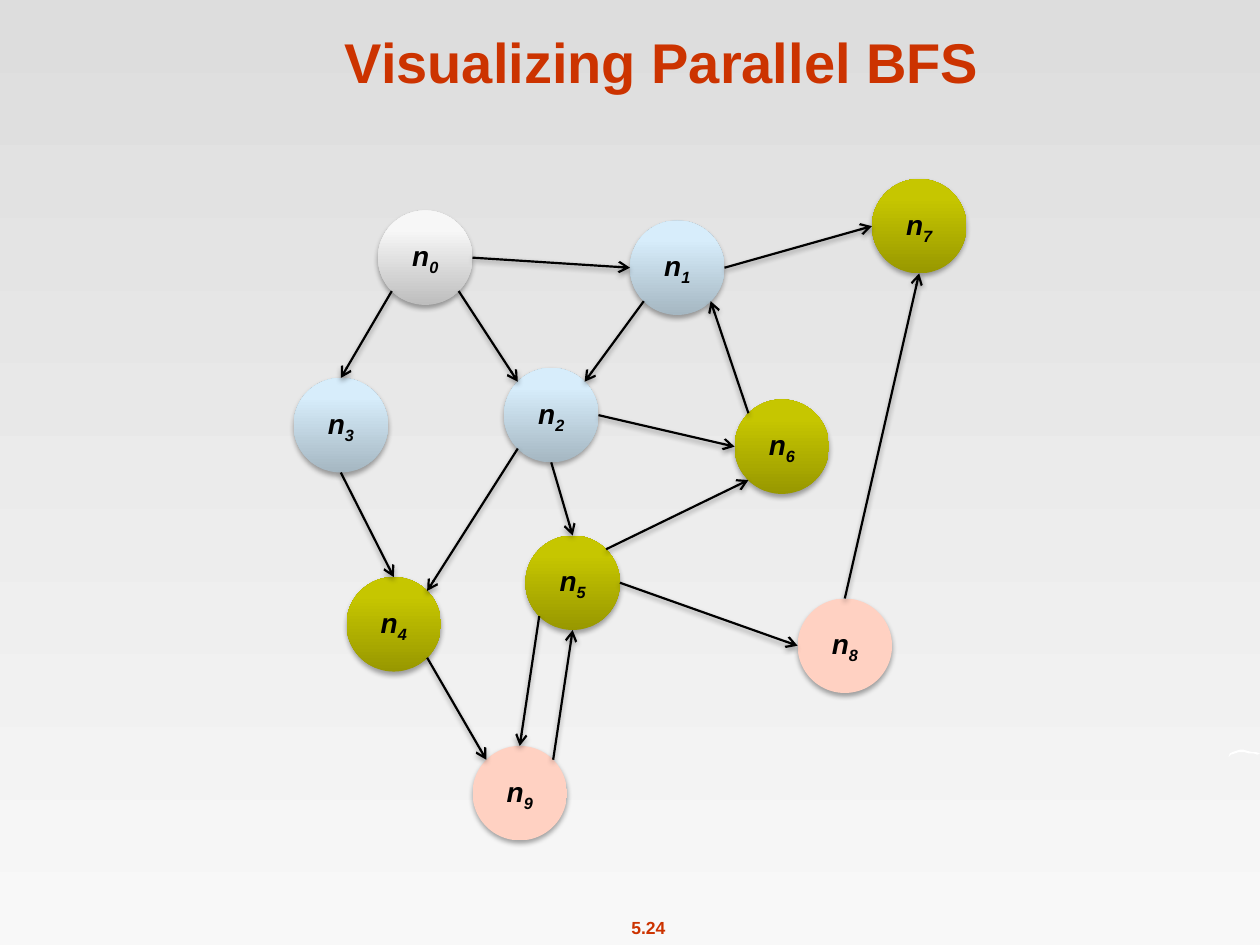
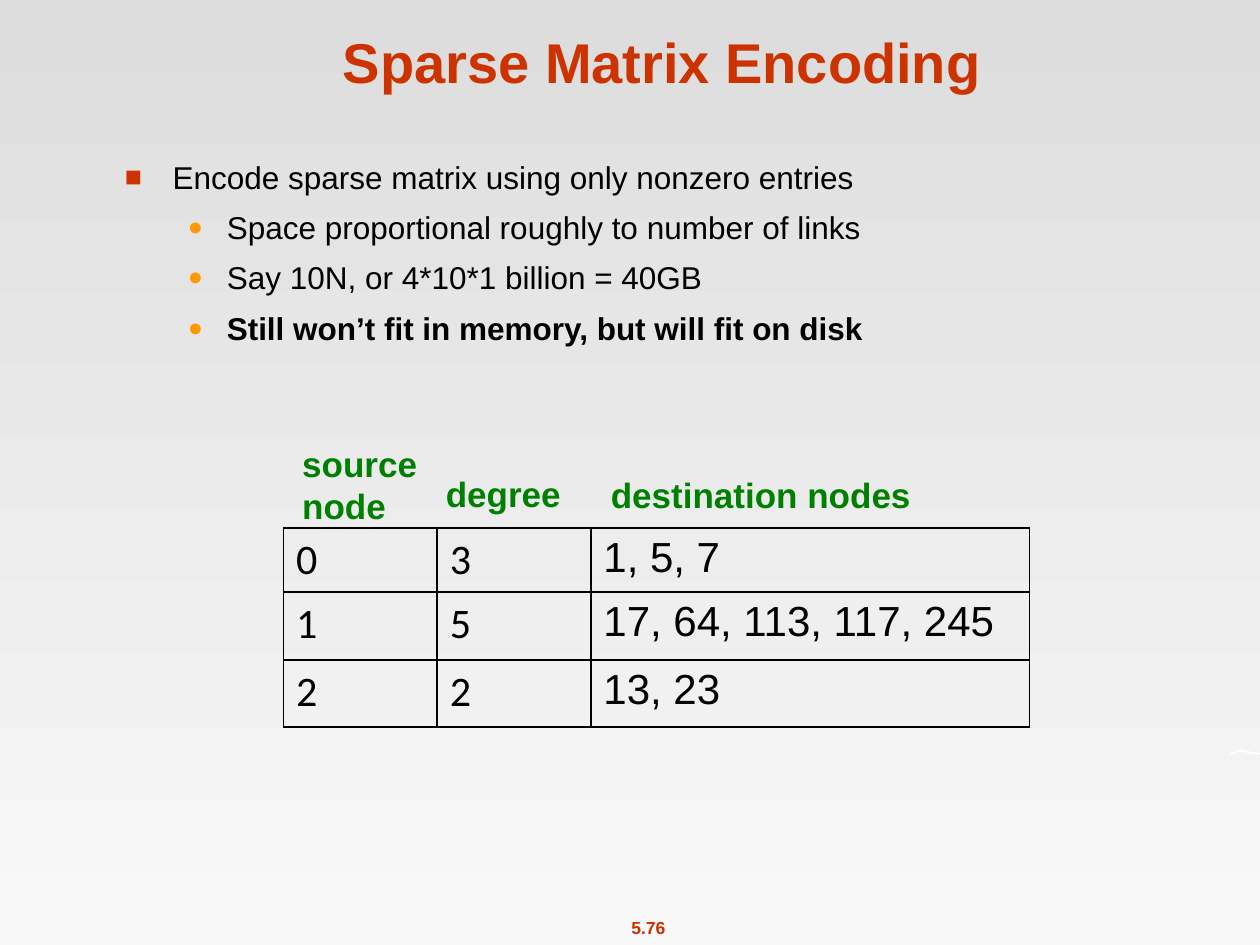
from math import cos, radians, sin

from lxml.etree import SubElement
from pptx import Presentation
from pptx.dml.color import RGBColor
from pptx.enum.shapes import MSO_CONNECTOR, MSO_SHAPE
from pptx.enum.text import MSO_ANCHOR, MSO_AUTO_SIZE, PP_ALIGN
from pptx.oxml.ns import qn
from pptx.util import Inches, Pt

BLACK, WHITE = "000000", "FFFFFF"
RED, ORANGE, GREEN = "CC3300", "FF9900", "008000"
BACKGROUND = ("DDDDDD", "F8F8F8")

# Node colours by distance from the start: bottom colour, top colour
LEVELS = [("BEBEBE", "F7F7F7"), ("A5B7C2", "D7EDFB"),
          ("989800", "C6C600"), ("FFD1C2", "FFD1C2")]
NODE_SIZE = 0.75
# Left and top within the graph, and level, for n0 to n9
NODES = [(0.67, 0.25, 0), (2.67, 0.33, 1), (1.67, 1.5, 1), (0, 1.58, 1),
         (0.42, 3.16, 2), (1.84, 2.83, 2), (3.5, 1.75, 2), (4.59, 0, 2),
         (4, 3.33, 3), (1.42, 4.5, 3)]
# From node, side it leaves, to node, side it reaches
EDGES = [(0, "SW", 3, "N"), (0, "SE", 2, "NW"), (0, "E", 1, "W"), (1, "E", 7, "W"),
         (8, "N", 7, "S"), (6, "NW", 1, "SE"), (1, "SW", 2, "NE"), (2, "E", 6, "W"),
         (3, "S", 4, "N"), (2, "SW", 4, "NE"), (2, "S", 5, "N"), (5, "NE", 6, "SW"),
         (4, "SE", 9, "NW"), (5, "SW", 9, "N"), (9, "NE", 5, "S"), (5, "E", 8, "W")]
COMPASS = ["E", "SE", "S", "SW", "W", "NW", "N", "NE"]

# Edge ornament, in hundredths of an inch
SWOOSH = [(0, 6), (1, 3), (3, 2), (6, 1), (9, 0), (12, 0), (15, 1), (19, 2),
          (22, 2), (25, 3), (23, 4), (20, 3), (16, 3), (13, 2), (8, 2), (5, 3),
          (2, 4), (1, 5)]

BULLETS = [(0, "Encode sparse matrix using only nonzero entries", False),
           (1, "Space proportional roughly to number of links", False),
           (1, "Say 10N, or 4*10*1 billion = 40GB", False),
           (1, "Still won’t fit in memory, but will fit on disk", True)]
# Mark, colour, size, left margin, indent for each list level
BULLET_STYLES = [("■", RED, 90, 0.38, -0.38), ("●", ORANGE, 80, 0.81, -0.31)]

MATRIX = [("0", "3", "1, 5, 7"), ("1", "5", "17, 64, 113, 117, 245"), ("2", "2", "13, 23")]
COLUMN_WIDTHS = [1.22, 1.22, 3.48]
ROW_HEIGHTS = [0.51, 0.54, 0.53]
# Lines, left, top, width, height within the table area
HEADINGS = [(["source", "node"], 0.05, 0, 1.12, 0.77),
            (["degree"], 1.19, 0.24, 1.12, 0.44),
            (["destination nodes"], 2.5, 0.25, 2.6, 0.44)]


def colour(hex_value):
    return RGBColor.from_string(hex_value)


def add_run(paragraph, text, size, hex_value, bold=False, italic=False, name="Arial"):
    run = paragraph.add_run()
    run.text = text
    font = run.font
    font.name, font.size, font.bold, font.italic = name, Pt(size), bold, italic
    font.color.rgb = colour(hex_value)
    return run


def set_gradient(fill, colours, angle, end=1.0):
    fill.gradient()
    fill.gradient_angle = angle
    for stop, hex_value, position in zip(fill.gradient_stops, colours, (0, end)):
        stop.color.rgb = colour(hex_value)
        stop.position = position


def add_shadow(shape, opacity, distance):
    effects = SubElement(shape._element.spPr, qn("a:effectLst"))
    shadow = SubElement(effects, qn("a:outerShdw"), blurRad=str(Pt(3.1)),
                        dist=str(Pt(distance)), dir="5400000", rotWithShape="0")
    black = SubElement(shadow, qn("a:srgbClr"), val=BLACK)
    SubElement(black, qn("a:alpha"), val=str(opacity * 1000))


def place(shape, left, top, width, height):
    shape.left, shape.top = Inches(left), Inches(top)
    shape.width, shape.height = Inches(width), Inches(height)


def add_label(slide, lines, left, top, width, height, size, hex_value, align):
    box = slide.shapes.add_textbox(Inches(left), Inches(top), Inches(width), Inches(height))
    frame = box.text_frame
    frame.word_wrap = False
    frame.auto_size = MSO_AUTO_SIZE.SHAPE_TO_FIT_TEXT
    for index, line in enumerate(lines):
        paragraph = frame.add_paragraph() if index else frame.paragraphs[0]
        paragraph.alignment = align
        add_run(paragraph, line, size, hex_value, bold=True)


# Shared frame: page number, ornament and title
def add_framed_slide(presentation, layout_index, title_text, page_number):
    slide = presentation.slides.add_slide(presentation.slide_layouts[layout_index])
    add_label(slide, [page_number], 4.9, 7.23, 0.49, 0.27, 10, RED, PP_ALIGN.CENTER)

    builder = slide.shapes.build_freeform(*SWOOSH[0], scale=Inches(0.01))
    builder.add_line_segments(SWOOSH[1:], close=True)
    swoosh = builder.convert_to_shape(Inches(9.75), Inches(5.95))
    swoosh.shadow.inherit = False
    swoosh.fill.solid()
    swoosh.fill.fore_color.rgb = colour(WHITE)
    swoosh.line.fill.background()

    title = slide.shapes.title
    place(title, 0.84, 0.13, 8.83, 0.67)
    frame = title.text_frame
    frame.auto_size = MSO_AUTO_SIZE.NONE
    frame.vertical_anchor = MSO_ANCHOR.BOTTOM
    frame.paragraphs[0].alignment = PP_ALIGN.CENTER
    add_run(frame.paragraphs[0], title_text, 32, RED, bold=True)
    return slide


# Graph of nodes and directed edges
def add_node(slide, number, left, top, level):
    node = slide.shapes.add_shape(MSO_SHAPE.OVAL, Inches(left), Inches(top),
                                  Inches(NODE_SIZE), Inches(NODE_SIZE))
    set_gradient(node.fill, LEVELS[level], 90, end=0.8)
    node.line.fill.background()
    add_shadow(node, 35, 1.8)
    frame = node.text_frame
    frame.vertical_anchor = MSO_ANCHOR.MIDDLE
    frame.margin_left = frame.margin_right = 0
    paragraph = frame.paragraphs[0]
    paragraph.alignment = PP_ALIGN.CENTER
    add_run(paragraph, "n", 16, BLACK, bold=True, italic=True)
    subscript = add_run(paragraph, str(number), 16, BLACK, bold=True, italic=True)
    subscript._r.get_or_add_rPr().set("baseline", "-25000")


def rim_point(left, top, node, side):
    node_left, node_top, _ = NODES[node]
    angle = radians(45 * COMPASS.index(side))
    radius = NODE_SIZE / 2
    return (Inches(left + node_left + radius * (1 + cos(angle))),
            Inches(top + node_top + radius * (1 + sin(angle))))


def add_graph(slide, left, top):
    for number, (node_left, node_top, level) in enumerate(NODES):
        add_node(slide, number, left + node_left, top + node_top, level)
    for source, source_side, target, target_side in EDGES:
        edge = slide.shapes.add_connector(MSO_CONNECTOR.STRAIGHT,
                                          *rim_point(left, top, source, source_side),
                                          *rim_point(left, top, target, target_side))
        edge.line.color.rgb = colour(BLACK)
        edge.line.width = Pt(1.25)
        SubElement(edge._element.spPr.get_or_add_ln(), qn("a:tailEnd"), type="arrow")
        add_shadow(edge, 38, 1.6)


# Bulleted list
def add_bullets(slide, left, top, width, height):
    body = slide.placeholders[1]
    place(body, left, top, width, height)
    frame = body.text_frame
    frame.auto_size = MSO_AUTO_SIZE.NONE
    for index, (level, text, bold) in enumerate(BULLETS):
        paragraph = frame.add_paragraph() if index else frame.paragraphs[0]
        paragraph.level = level
        paragraph.space_before = Pt(7.2 if index else 0)
        mark, mark_colour, mark_size, margin, indent = BULLET_STYLES[level]
        properties = paragraph._p.get_or_add_pPr()
        properties.set("marL", str(Inches(margin)))
        properties.set("indent", str(Inches(indent)))
        bullet_colour = SubElement(properties, qn("a:buClr"))
        SubElement(bullet_colour, qn("a:srgbClr"), val=mark_colour)
        SubElement(properties, qn("a:buSzPct"), val=str(mark_size * 1000))
        SubElement(properties, qn("a:buFont"), typeface="Arial")
        SubElement(properties, qn("a:buChar"), char=mark)
        add_run(paragraph, text, 18, BLACK, bold=bold)


# Table of adjacency rows with headings above
def add_borders(cell):
    properties = cell._tc.get_or_add_tcPr()
    for index, edge in enumerate(("a:lnL", "a:lnR", "a:lnT", "a:lnB")):
        line = SubElement(properties, qn(edge), w=str(Pt(1)))
        solid = SubElement(line, qn("a:solidFill"))
        SubElement(solid, qn("a:srgbClr"), val=BLACK)
        properties.insert(index, line)


def add_matrix(slide, left, top):
    table = slide.shapes.add_table(
        len(MATRIX), len(COLUMN_WIDTHS), Inches(left), Inches(top + 0.73),
        Inches(sum(COLUMN_WIDTHS)), Inches(sum(ROW_HEIGHTS))).table
    table.first_row = table.horz_banding = False
    for column, width in zip(table.columns, COLUMN_WIDTHS):
        column.width = Inches(width)
    for row, height, values in zip(table.rows, ROW_HEIGHTS, MATRIX):
        row.height = Inches(height)
        for cell, value, name in zip(row.cells, values, ("Calibri", "Calibri", "Arial")):
            cell.fill.background()
            add_borders(cell)
            add_run(cell.text_frame.paragraphs[0], value, 24, BLACK, name=name)
    for lines, label_left, label_top, width, height in HEADINGS:
        add_label(slide, lines, left + label_left, top + label_top, width, height,
                  20, GREEN, PP_ALIGN.LEFT)


def main():
    presentation = Presentation()
    presentation.slide_width, presentation.slide_height = Inches(10), Inches(7.5)
    set_gradient(presentation.slide_master.background.fill, BACKGROUND, 270)

    graph_slide = add_framed_slide(presentation, 5, "Visualizing Parallel BFS", "5.24")
    add_graph(graph_slide, 2.33, 1.42)

    matrix_slide = add_framed_slide(presentation, 1, "Sparse Matrix Encoding", "5.76")
    add_bullets(matrix_slide, 0.89, 1.2, 8.38, 5.36)
    add_matrix(matrix_slide, 2.25, 3.46)

    presentation.save("out.pptx")


if __name__ == "__main__":
    main()
